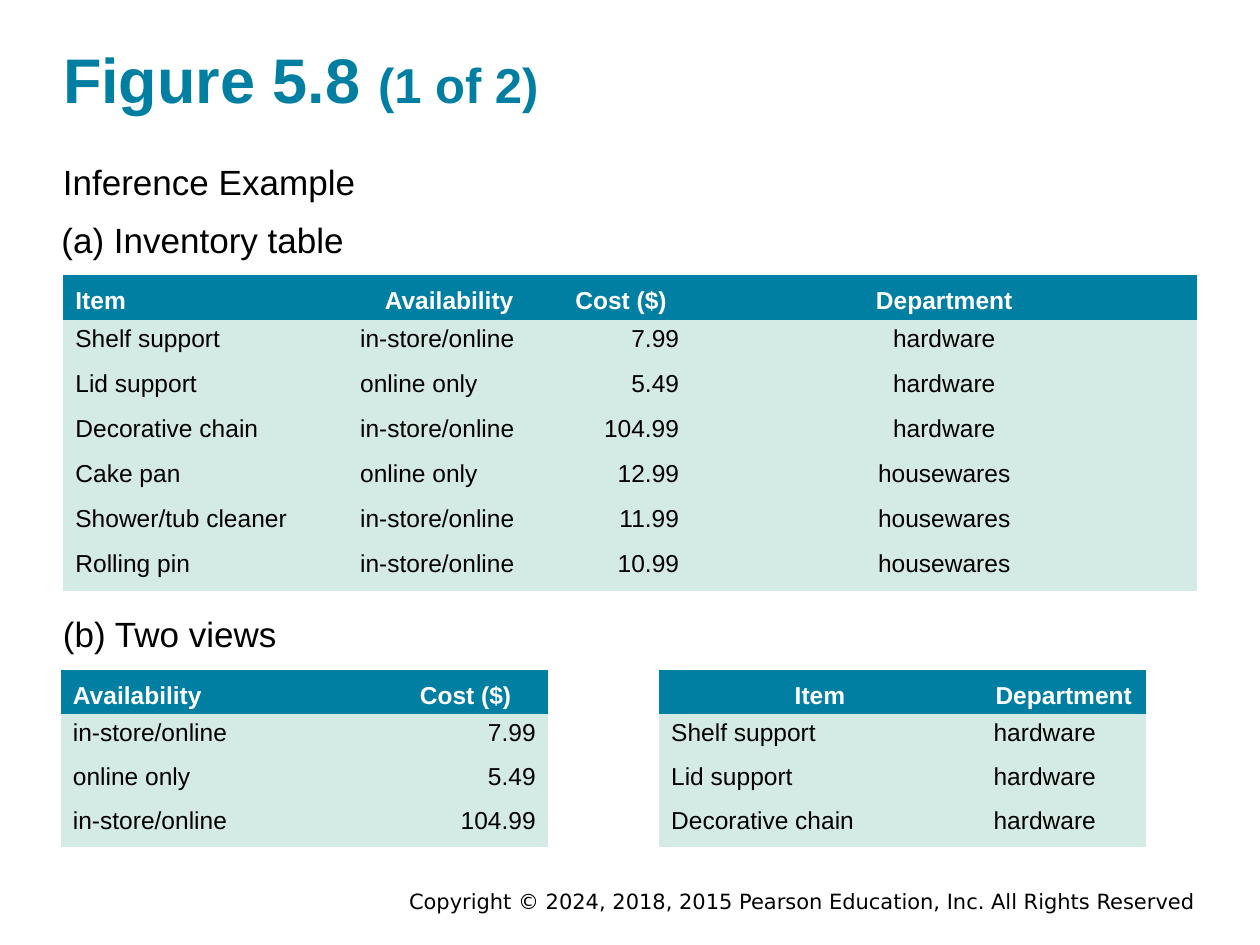
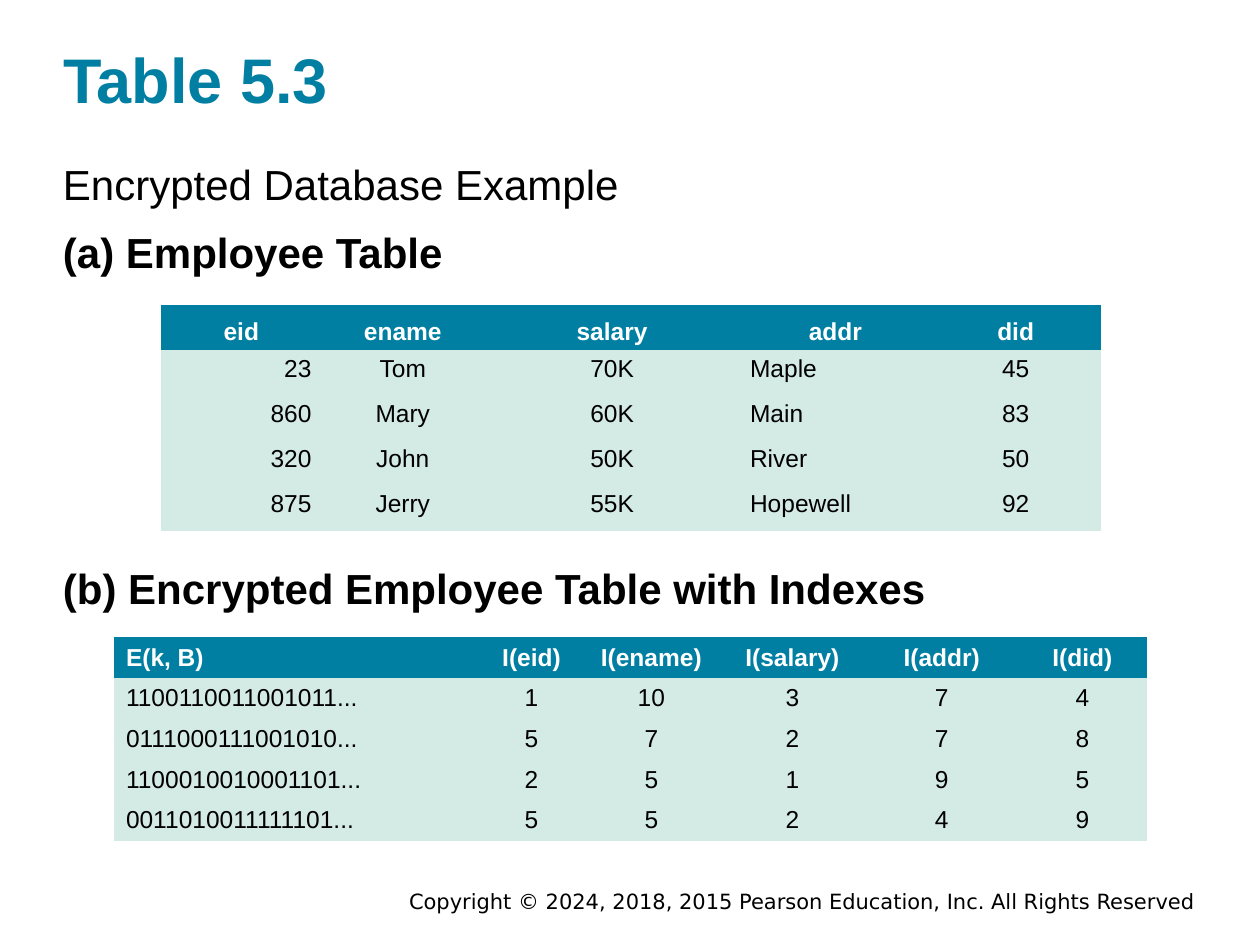
import pptx
import pptx.dml.color
import pptx.enum.text
import pptx.oxml.ns
import pptx.util

Cm = pptx.util.Cm
Pt = pptx.util.Pt
RGB = pptx.dml.color.RGBColor.from_string
ANCHOR = pptx.enum.text.MSO_ANCHOR
ALIGN = {
    "l": pptx.enum.text.PP_ALIGN.LEFT,
    "c": pptx.enum.text.PP_ALIGN.CENTER,
    "r": pptx.enum.text.PP_ALIGN.RIGHT,
}

# Theme: colours, fonts and type sizes
THEME = {
    "accent": RGB("007FA3"),
    "row": RGB("D4EAE4"),
    "ink": RGB("000000"),
    "white": RGB("FFFFFF"),
    "font": "Arial",
    "footer_font": "DejaVu Sans",
    "title_size": Pt(36),
    "part_size": Pt(28),
    "table_size": Pt(14),
    "footer_size": Pt(12),
    "plain_table": "{2D5ABB26-0587-4C30-8999-92F81FD0307C}",
}
COPYRIGHT = "Copyright © 2024, 2018, 2015 Pearson Education, Inc. All Rights Reserved"

# Content: places and lengths in cm; one alignment letter per column
SLIDES = [
    {
        "title": ["Figure 5.8 ", "(1 of 2)"],
        "heading_size": Pt(20),
        "heading_height": 0.97,
        "headings": [
            ("Inference Example", 1.27, 3.18, 6.07, False),
            ("(a) Inventory table", 1.24, 4.34, 5.77, False),
            ("(b) Two views", 1.27, 12.29, 4.47, False),
        ],
        "tables": [
            {
                "at": (1.27, 5.54), "columns": [5.74, 4.09, 2.84, 10.19], "row": 0.91,
                "inset": (0.25, 0.1), "head_anchor": ANCHOR.BOTTOM,
                "head_align": "lccc", "body_align": "llrc",
                "rows": [
                    ["Item", "Availability", "Cost ($)", "Department"],
                    ["Shelf support", "in-store/online", "7.99", "hardware"],
                    ["Lid support", "online only", "5.49", "hardware"],
                    ["Decorative chain", "in-store/online", "104.99", "hardware"],
                    ["Cake pan", "online only", "12.99", "housewares"],
                    ["Shower/tub cleaner", "in-store/online", "11.99", "housewares"],
                    ["Rolling pin", "in-store/online", "10.99", "housewares"],
                ],
            },
            {
                "at": (1.22, 13.51), "columns": [6.5, 3.33], "row": 0.89,
                "inset": (0.25, 0.1), "head_anchor": ANCHOR.BOTTOM,
                "head_align": "lc", "body_align": "lr",
                "rows": [
                    ["Availability", "Cost ($)"],
                    ["in-store/online", "7.99"],
                    ["online only", "5.49"],
                    ["in-store/online", "104.99"],
                ],
            },
            {
                "at": (13.28, 13.51), "columns": [6.5, 3.33], "row": 0.89,
                "inset": (0.25, 0.1), "head_anchor": ANCHOR.BOTTOM,
                "head_align": "cc", "body_align": "ll",
                "rows": [
                    ["Item", "Department"],
                    ["Shelf support", "hardware"],
                    ["Lid support", "hardware"],
                    ["Decorative chain", "hardware"],
                ],
            },
        ],
    },
    {
        "title": ["Table 5.3"],
        "heading_size": Pt(24),
        "heading_height": 1.12,
        "headings": [
            ("Encrypted Database Example", 1.27, 3.15, 11.43, False),
            ("(a) Employee Table", 1.27, 4.52, 7.85, True),
            ("(b) Encrypted Employee Table with Indexes", 1.27, 11.28, 17.65, True),
        ],
        "tables": [
            {
                "at": (3.25, 6.15), "columns": [3.23, 3.28, 5.16, 3.84, 3.43], "row": 0.91,
                "inset": (0.2, 0.1), "head_anchor": ANCHOR.BOTTOM,
                "head_align": "ccccc", "body_align": "rcclc",
                "rows": [
                    ["eid", "ename", "salary", "addr", "did"],
                    ["23", "Tom", "70K", "Maple", "45"],
                    ["860", "Mary", "60K", "Main", "83"],
                    ["320", "John", "50K", "River", "50"],
                    ["875", "Jerry", "55K", "Hopewell", "92"],
                ],
            },
            {
                "at": (2.29, 12.85), "columns": [7.37, 2.11, 2.72, 2.97, 3.05, 2.62], "row": 0.82,
                "inset": (0.25, 0.13), "head_anchor": ANCHOR.TOP,
                "head_align": "lccccc", "body_align": "lccccc",
                "rows": [
                    ["E(k, B)", "I(eid)", "I(ename)", "I(salary)", "I(addr)", "I(did)"],
                    ["1100110011001011...", "1", "10", "3", "7", "4"],
                    ["0111000111001010...", "5", "7", "2", "7", "8"],
                    ["1100010010001101...", "2", "5", "1", "9", "5"],
                    ["0011010011111101...", "5", "5", "2", "4", "9"],
                ],
            },
        ],
    },
]


def write(frame, texts, align, sizes, color, bold=False, font=THEME["font"]):
    """Fill a text frame or cell with one paragraph, one run per text."""
    paragraph = frame.paragraphs[0]
    paragraph.alignment = ALIGN[align]
    for text, size in zip(texts, sizes):
        run = paragraph.add_run()
        run.text = text
        for key, value in {"name": font, "size": size, "bold": bold}.items():
            setattr(run.font, key, value)
        run.font.color.rgb = color


def fit(shape, left, top, width, height):
    """Place a text shape and give it the common frame settings."""
    place = {"left": left, "top": top, "width": width, "height": height}
    for key, value in place.items():
        setattr(shape, key, Cm(value))
    settings = {
        "margin_left": 0, "margin_right": 0,
        "margin_top": Cm(0.05), "margin_bottom": Cm(0.05),
        "vertical_anchor": ANCHOR.MIDDLE, "word_wrap": True,
        "auto_size": pptx.enum.text.MSO_AUTO_SIZE.NONE,
    }
    for key, value in settings.items():
        setattr(shape.text_frame, key, value)
    return shape.text_frame


deck = pptx.Presentation()
deck.slide_width, deck.slide_height = Cm(25.4), Cm(19.05)
title_only = deck.slide_layouts[5]

for content in SLIDES:
    slide = deck.slides.add_slide(title_only)

    # Title and copyright line
    title = fit(slide.shapes.title, 1.27, 0.76, 22.86, 1.65)
    write(title, content["title"], "l", [THEME["title_size"], THEME["part_size"]],
          THEME["accent"], bold=True)
    footer = fit(slide.shapes.add_textbox(0, 0, 0, 0), 5.79, 17.86, 18.31, 0.61)
    write(footer, [COPYRIGHT], "r", [THEME["footer_size"]], THEME["ink"],
          font=THEME["footer_font"])

    # Headings
    for text, left, top, width, bold in content["headings"]:
        heading = fit(slide.shapes.add_textbox(0, 0, 0, 0),
                      left, top, width, content["heading_height"])
        write(heading, [text], "l", [content["heading_size"]], THEME["ink"], bold)

    # Tables
    for data in content["tables"]:
        rows, columns = data["rows"], data["columns"]
        left, top = data["at"]
        grid = slide.shapes.add_table(
            len(rows), len(columns), Cm(left), Cm(top),
            Cm(sum(columns)), Cm(data["row"] * len(rows))).table
        grid.horz_banding = False
        grid._tbl.tblPr.find(pptx.oxml.ns.qn("a:tableStyleId")).text = THEME["plain_table"]
        for column, width in zip(grid.columns, columns):
            column.width = Cm(width)

        side, edge = data["inset"]
        for r, values in enumerate(rows):
            is_head = r == 0
            grid.rows[r].height = Cm(data["row"])
            aligns = data["head_align"] if is_head else data["body_align"]
            cell_format = {
                "margin_left": Cm(side), "margin_right": Cm(side),
                "margin_top": Cm(edge), "margin_bottom": Cm(edge),
                "vertical_anchor": data["head_anchor"] if is_head else ANCHOR.TOP,
            }
            for c, (value, align) in enumerate(zip(values, aligns)):
                cell = grid.cell(r, c)
                for key, setting in cell_format.items():
                    setattr(cell, key, setting)
                cell.fill.solid()
                cell.fill.fore_color.rgb = THEME["accent" if is_head else "row"]
                write(cell.text_frame, [value], align, [THEME["table_size"]],
                      THEME["white" if is_head else "ink"], bold=is_head)

deck.save("out.pptx")
